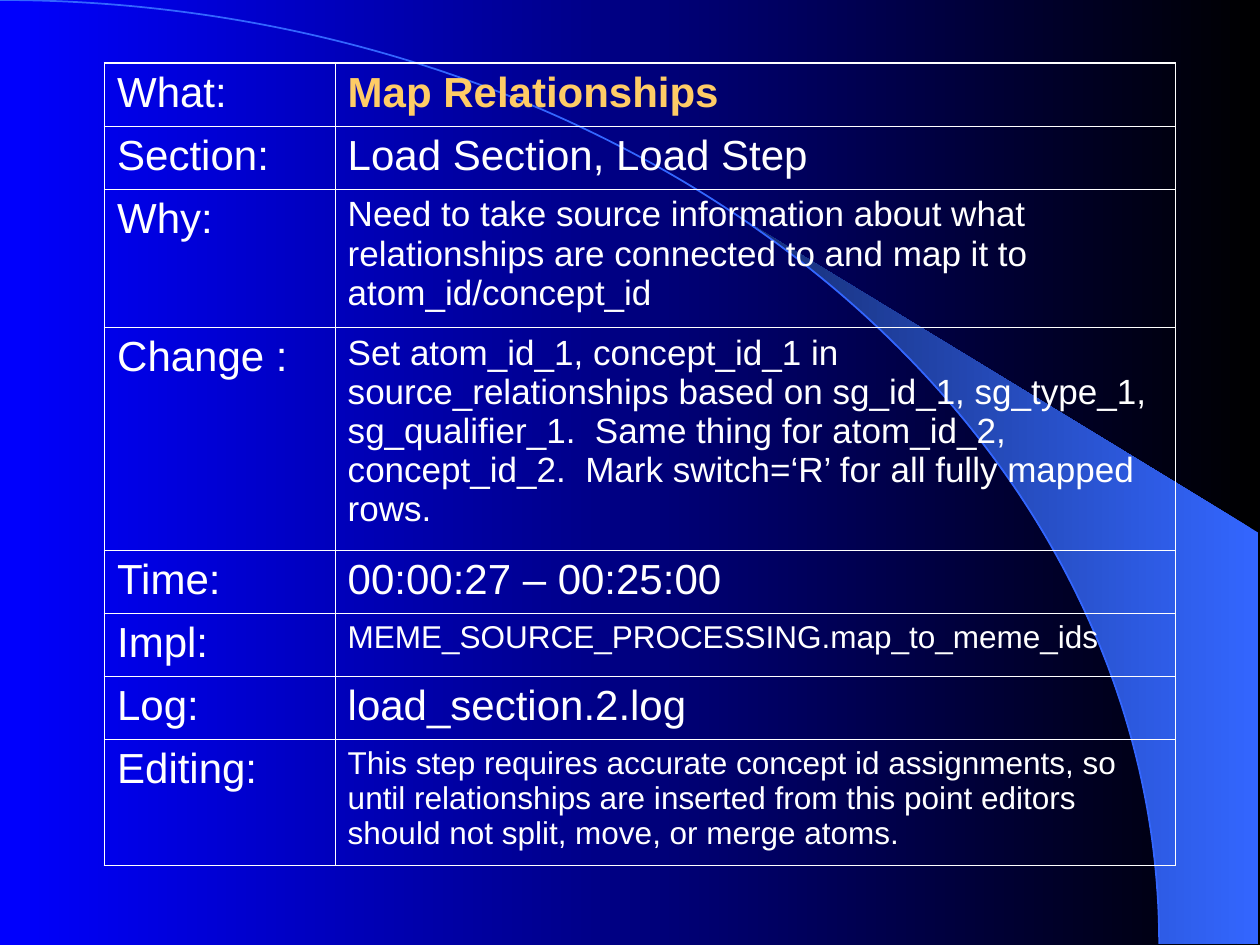
import math
from dataclasses import dataclass

import pptx
import pptx.dml.color
import pptx.enum.shapes
import pptx.oxml
import pptx.oxml.ns
import pptx.util
from pptx.util import Inches

WHITE = "FFFFFF"
GOLD = "FFCC66"
ARC_BLUE = "3366FF"
ARC_RX, ARC_RY = 9.2, 7.49


@dataclass
class Row:
    label: str
    text: str
    height: float = 0.5
    size: int = 24
    color: str = WHITE
    bold: bool = False


ROWS = [
    Row("What:", "Map Relationships", color=GOLD, bold=True),
    Row("Section:", "Load Section, Load Step"),
    Row("Why:", "Need to take source information about what relationships are "
        "connected to and map it to atom_id/concept_id", 1.1, 20),
    Row("Change :", "Set atom_id_1, concept_id_1 in source_relationships based on "
        "sg_id_1, sg_type_1, sg_qualifier_1.  Same thing for atom_id_2, "
        "concept_id_2.  Mark switch=‘R’ for all fully mapped rows.", 1.77, 20),
    Row("Time:", "00:00:27 – 00:25:00"),
    Row("Impl:", "MEME_SOURCE_PROCESSING.map_to_meme_ids", size=18),
    Row("Log:", "load_section.2.log"),
    Row("Editing:", "This step requires accurate concept id assignments, so until "
        "relationships are inserted from this point editors should not split, "
        "move, or merge atoms.", 1.0, 18),
]
COLUMNS = [1.83, 6.67]


def rgb(color: str) -> pptx.dml.color.RGBColor:
    return pptx.dml.color.RGBColor.from_string(color)


def set_gradient(fill, right: str, left: str) -> None:
    fill.gradient()
    fill.gradient_angle = 180
    for stop, color in zip(fill.gradient_stops, (right, left)):
        stop.color.rgb = rgb(color)


def draw_band(s) -> None:
    start = math.asin(5.89 / ARC_RX)
    steps = 24
    angles = [start + (math.pi / 2 - start) * i / steps for i in range(steps + 1)]
    curve = [(ARC_RX * math.sin(a), ARC_RY * (1 - math.cos(a))) for a in angles]
    points = [(Inches(x), Inches(y)) for x, y in curve + [(9.99, 7.49), (9.99, 4.23)]]
    builder = s.shapes.build_freeform(*points[0], scale=1.0)
    builder.add_line_segments(points[1:], close=True)
    sp = builder.convert_to_shape()
    sp.shadow.inherit = False
    set_gradient(sp.fill, ARC_BLUE, "172F75")
    sp.line.fill.background()


def draw_arc(s) -> None:
    sp = s.shapes.add_shape(pptx.enum.shapes.MSO_SHAPE.ARC, Inches(-ARC_RX), 0,
                            Inches(2 * ARC_RX), Inches(2 * ARC_RY))
    sp.shadow.inherit = False
    sp.fill.background()
    sp.line.color.rgb = rgb(ARC_BLUE)
    sp.line.width = pptx.util.Pt(1)


def set_borders(cell, widths: dict[str, float]) -> None:
    tcPr = cell._tc.get_or_add_tcPr()
    for side, width in widths.items():
        tcPr.append(pptx.oxml.parse_xml(
            f'<a:ln{side} {pptx.oxml.ns.nsdecls("a")} w="{pptx.util.Pt(width)}">'
            f'<a:solidFill><a:srgbClr val="{WHITE}"/></a:solidFill></a:ln{side}>'))


def write_cell(cell, text: str, size: int, color: str, bold: bool) -> None:
    cell.fill.background()
    r = cell.text_frame.paragraphs[0].add_run()
    r.text = text
    r.font.name = "Arial"
    r.font.size = pptx.util.Pt(size)
    r.font.bold = bold
    r.font.color.rgb = rgb(color)


def draw_table(s, rows: list[Row]) -> None:
    outer, inner = 1.08, 0.45
    table = s.shapes.add_table(
        len(rows), len(COLUMNS), Inches(0.83), Inches(0.5),
        Inches(sum(COLUMNS)), Inches(sum(row.height for row in rows))).table
    table.first_row = False
    table.horz_banding = False
    for column, width in zip(table.columns, COLUMNS):
        column.width = Inches(width)
    for i, row in enumerate(rows):
        table.rows[i].height = Inches(row.height)
        for j in range(len(COLUMNS)):
            set_borders(table.cell(i, j), {
                "L": outer if j == 0 else inner,
                "R": outer if j == len(COLUMNS) - 1 else inner,
                "T": outer if i == 0 else inner,
                "B": outer if i == len(rows) - 1 else inner,
            })
        write_cell(table.cell(i, 0), row.label, 24, WHITE, False)
        write_cell(table.cell(i, 1), row.text, row.size, row.color, row.bold)


def main() -> None:
    prs = pptx.Presentation()
    prs.slide_width, prs.slide_height = Inches(10), Inches(7.5)
    s = prs.slides.add_slide(prs.slide_layouts[6])
    set_gradient(s.background.fill, "000000", "0000FF")
    draw_band(s)
    draw_arc(s)
    draw_table(s, ROWS)
    prs.save("out.pptx")


if __name__ == "__main__":
    main()
